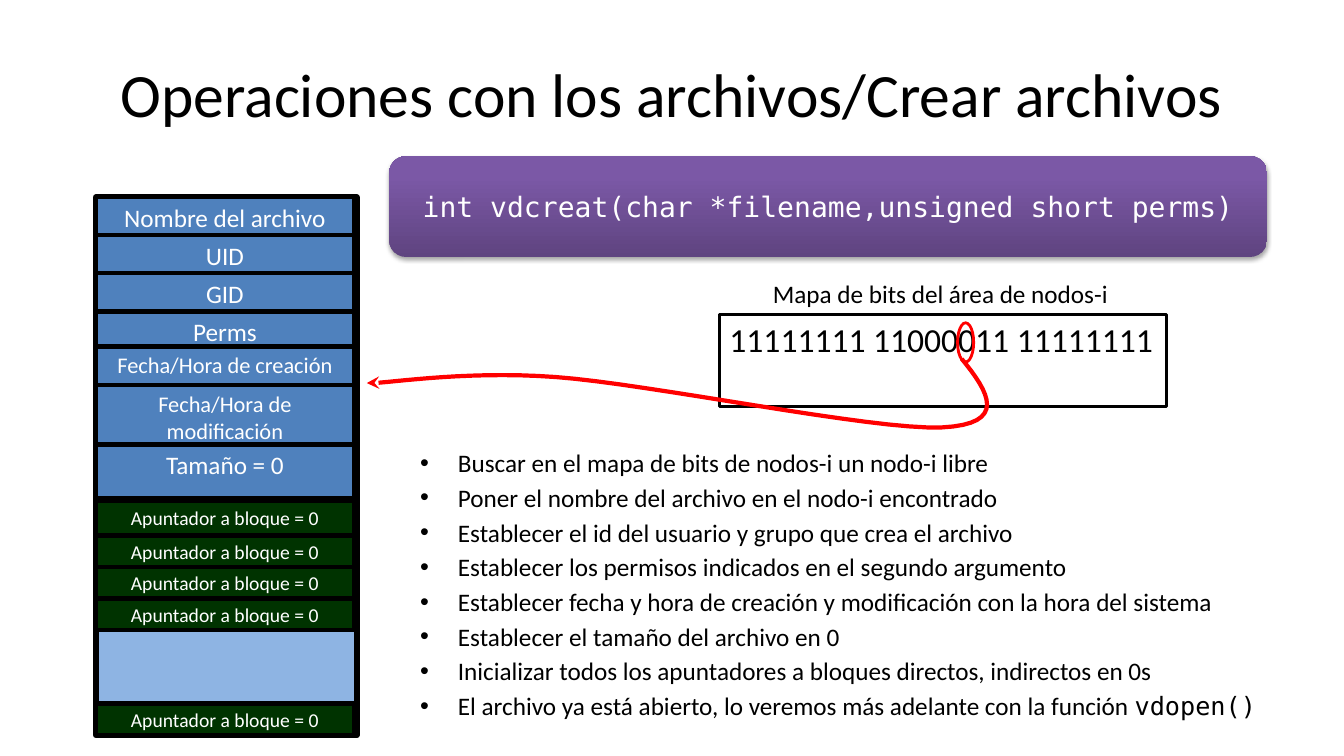
from lxml import etree
from pptx import Presentation
from pptx.dml.color import RGBColor
from pptx.enum import shapes as kinds, text as modes
from pptx.oxml import parse_xml
from pptx.oxml.ns import qn
from pptx.util import Pt

HUE = dict(ink="000000", paper="FFFFFF", frame="8EB4E3", field="4F81BD",
           block="003300", mark="FF0000", dark="5F4480", mid="7B58A6", light="7C57A8")
SANS, MONO = "Calibri", "DejaVu Sans Mono"
NS = 'xmlns:a="http://schemas.openxmlformats.org/drawingml/2006/main"'
FORM = kinds.MSO_SHAPE
TOP, MIDDLE = modes.MSO_ANCHOR.TOP, modes.MSO_ANCHOR.MIDDLE
LEFT, CENTER = modes.PP_ALIGN.LEFT, modes.PP_ALIGN.CENTER

FIELDS = [("Nombre del archivo", 18, 27), ("UID", 18, 27), ("GID", 18, 27.5),
          ("Perms", 18, 25), ("Fecha/Hora de creación", 16, 27.5),
          ("Fecha/Hora de modificación", 16, 42.5), ("Tamaño = 0", 18, 38)]
STEPS = ["Buscar en el mapa de bits de nodos-i un nodo-i libre",
         "Poner el nombre del archivo en el nodo-i encontrado",
         "Establecer el id del usuario y grupo que crea el archivo",
         "Establecer los permisos indicados en el segundo argumento",
         "Establecer fecha y hora de creación y modificación con la hora del sistema",
         "Establecer el tamaño del archivo en 0",
         "Inicializar todos los apuntadores a bloques directos, indirectos en 0s",
         "El archivo ya está abierto, lo veremos más adelante con la función "]


def color(name):
    return RGBColor.from_string(HUE[name])


def add_run(para, words, size=18, font=SANS, hue="ink"):
    run = para.add_run()
    run.text = words
    run.font.size, run.font.name = Pt(size), font
    run.font.color.rgb = color(hue)


def write(shape, words, align=CENTER, anchor=TOP, wrap=True, **form):
    frame = shape.text_frame
    frame.word_wrap, frame.vertical_anchor = wrap, anchor
    para = frame.paragraphs[0]
    para.alignment = align
    add_run(para, words, **form)


def style(shape, fill=None, line="ink", width=3):
    """Set a plain fill and outline, without shadow."""
    shape.shadow.inherit = False
    if fill:
        shape.fill.solid()
        shape.fill.fore_color.rgb = color(fill)
    else:
        shape.fill.background()
    shape.line.color.rgb = color(line)
    shape.line.width = Pt(width)


def add_box(slide, box, form=FORM.RECTANGLE, **look):
    shape = slide.shapes.add_shape(form, *map(Pt, box))
    style(shape, **look)
    return shape


def add_title(slide, box, words):
    title = slide.shapes.title
    title.left, title.top, title.width, title.height = map(Pt, box)
    write(title, words, anchor=MIDDLE, size=44)


def add_inode(slide, box):
    """Stack the fields and block pointers of the i-node in its frame."""
    left, top, width, height = box
    add_box(slide, box, fill="frame", width=4.5)

    def add_row(y, tall, words, size, fill, anchor):
        row = add_box(slide, (left, y, width - 2, tall), fill=fill)
        write(row, words, anchor=anchor, size=size, hue="paper")

    y = top
    for words, size, tall in FIELDS:
        add_row(y, tall, words, size, "field", TOP)
        y += tall
    y += 2
    last = top + height - 22.5
    for spot, tall in [(y, 25), (y + 25, 22.5), (y + 47.5, 22.5),
                       (y + 70, 22.5), (last, 22.5)]:
        add_row(spot, tall, "Apuntador a bloque = 0", 14, "block", MIDDLE)


def add_banner(slide, box, words):
    shape = add_box(slide, box, FORM.ROUNDED_RECTANGLE)
    shape.line.fill.background()
    props = shape.fill._xPr
    stops = "".join(f'<a:gs pos="{pos}000"><a:srgbClr val="{HUE[hue]}"/></a:gs>'
                    for pos, hue in [(0, "dark"), (80, "mid"), (100, "light")])
    props.replace(props.find(qn("a:noFill")), parse_xml(
        f'<a:gradFill {NS} rotWithShape="1"><a:gsLst>{stops}</a:gsLst>'
        '<a:lin ang="16200000" scaled="0"/></a:gradFill>'))
    props.find(qn("a:effectLst")).append(parse_xml(
        f'<a:outerShdw {NS} blurRad="{Pt(3.1)}" dist="{Pt(1.8)}" dir="5400000" '
        f'rotWithShape="0"><a:srgbClr val="{HUE["ink"]}">'
        '<a:alpha val="35000"/></a:srgbClr></a:outerShdw>'))
    write(shape, words, anchor=MIDDLE, size=20, font=MONO, hue="paper")


def add_bitmap(slide, box):
    """Place the bit map, its caption and the ring round the free bit."""
    left, top, width, height = box
    bits = add_box(slide, box, width=2)
    write(bits, "11111111 11000011 11111111", align=LEFT, wrap=False, size=24)
    add_box(slide, (left + 170, top + 6, 11.5, 28), FORM.OVAL, line="mark", width=2)
    label = slide.shapes.add_textbox(Pt(left + 31), Pt(top - 29.5), Pt(257), Pt(29))
    write(label, "Mapa de bits del área de nodos-i", align=LEFT, wrap=False)


def add_curve(slide, start, curves, parts=16):
    """Draw joined cubic curves, with an arrowhead at the end."""
    points, here = [], start
    for one, two, end in curves:
        for step in range(1, parts + 1):
            t = step / parts
            s = 1 - t
            points.append(tuple(
                Pt(s**3 * a + 3 * s * s * t * b + 3 * s * t * t * c + t**3 * d)
                for a, b, c, d in zip(here, one, two, end)))
        here = end
    pen = slide.shapes.build_freeform(*map(Pt, start))
    pen.add_line_segments(points, close=False)
    shape = pen.convert_to_shape()
    style(shape, line="mark", width=3)
    etree.SubElement(shape.line._get_or_add_ln(), qn("a:tailEnd"), type="stealth")


def add_steps(slide, box):
    frame = slide.shapes.add_textbox(*map(Pt, box)).text_frame
    frame.word_wrap = True
    for i, words in enumerate(STEPS):
        para = frame.paragraphs[0] if i == 0 else frame.add_paragraph()
        para.space_before = Pt(3.2)
        props = para._p.get_or_add_pPr()
        props.set("marL", str(Pt(27)))
        props.set("indent", str(-Pt(27)))
        etree.SubElement(props, qn("a:buFont"), typeface="Arial")
        etree.SubElement(props, qn("a:buChar"), char="•")
        add_run(para, words)
    add_run(para, "vdopen()", font=MONO)


def main():
    deck = Presentation()
    deck.slide_width, deck.slide_height = Pt(960), Pt(540)
    slide = deck.slides.add_slide(deck.slide_layouts[5])
    add_title(slide, (48, 21.6, 864, 90), "Operaciones con los archivos/Crear archivos")
    add_steps(slide, (293, 316, 641.5, 203))
    add_banner(slide, (278, 111.6, 627, 72),
               "int vdcreat(char *filename,unsigned short perms)")
    add_bitmap(slide, (514, 224.6, 319, 65.5))
    add_curve(slide, (687, 256.3), [
        ((706.3, 280), (720.7, 303), (672.5, 305.3)),
        ((623.5, 307.4), (465, 274.3), (396.7, 269.3)),
        ((328.3, 264.2), (270, 275), (262, 273.6))])
    add_inode(slide, (68.4, 141, 186.5, 384))
    deck.save("out.pptx")


if __name__ == "__main__":
    main()
